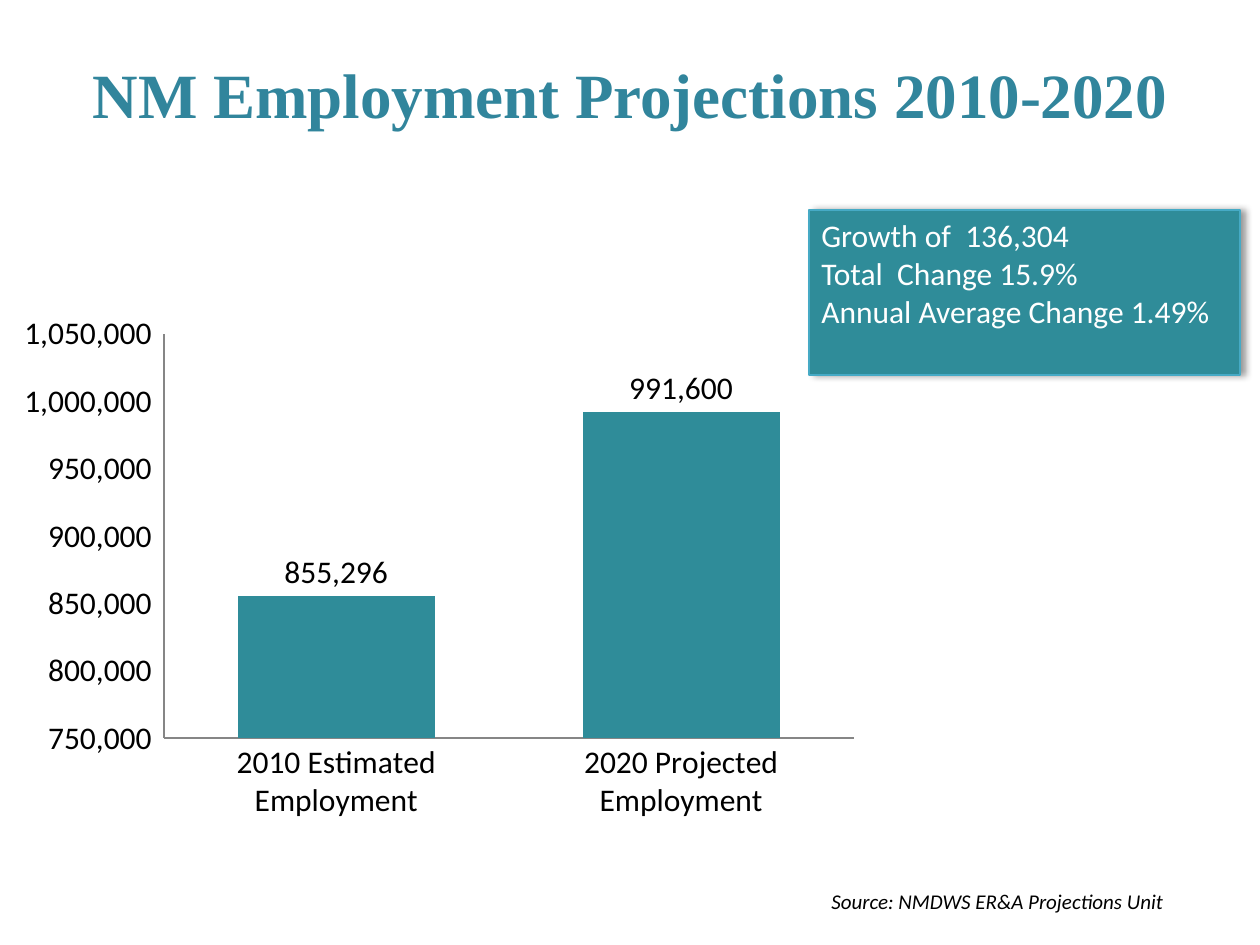
from lxml import etree
from pptx import Presentation
from pptx import util as u
from pptx.chart import data as chart_data
from pptx.dml.color import RGBColor
from pptx.enum import chart as ch, shapes, text
from pptx.oxml import parse_xml
from pptx.oxml.ns import nsdecls, qn

PX = 914400 / 126
TEAL = RGBColor(0x2F, 0x8C, 0x99)
TITLE_TEAL = RGBColor(0x31, 0x85, 0x9C)
EDGE = RGBColor(0x46, 0xAA, 0xC5)
AXIS_GREY = RGBColor(0x86, 0x86, 0x86)
WHITE = RGBColor(0xFF, 0xFF, 0xFF)
BLACK = RGBColor(0, 0, 0)
COUNT_FORMAT = '_(* #,##0_);_(* \\(#,##0\\);_(* "-"??_);_(@_)'


def px(*lengths):
    return [u.Emu(round(length * PX)) for length in lengths]


def apply(target, **values):
    for name, value in values.items():
        setattr(target, name, value)


def style_font(font, color, **values):
    apply(font, **values)
    font.color.rgb = color


def add_title(slide, box):
    title = slide.shapes.title
    apply(title, **dict(zip(("left", "top", "width", "height"), px(*box))))
    frame = title.text_frame
    frame.text = "NM Employment Projections 2010-2020"
    apply(frame, vertical_anchor=text.MSO_ANCHOR.MIDDLE, word_wrap=True,
          auto_size=text.MSO_AUTO_SIZE.NONE)
    heading = frame.paragraphs[0]
    heading.alignment = text.PP_ALIGN.CENTER
    style_font(heading.runs[0].font, TITLE_TEAL,
               name="Times New Roman", size=u.Pt(36), bold=True)


def place_plot(chart, box, plot_box):
    left, top, width, height = box
    plot_left, plot_top, plot_width, plot_height = plot_box
    shares = {"x": plot_left / width, "y": plot_top / height,
              "w": plot_width / width, "h": plot_height / height}
    entries = [("layoutTarget", "inner"), ("xMode", "edge"), ("yMode", "edge")]
    entries += [(key, f"{share:.2f}" if key == "h" else f"{share:.3f}")
                for key, share in shares.items()]
    plot_area = chart.plots[0]._element.getparent()
    for old in plot_area.findall(qn("c:layout")):
        plot_area.remove(old)
    layout = parse_xml(f'<c:layout {nsdecls("c")}/>')
    manual = etree.SubElement(layout, qn("c:manualLayout"))
    for key, value in entries:
        etree.SubElement(manual, qn(f"c:{key}")).set("val", value)
    plot_area.insert(0, layout)


def add_employment_chart(slide, box):
    employment = chart_data.CategoryChartData(number_format=COUNT_FORMAT)
    employment.categories = ["2010 Estimated Employment",
                             "2020 Projected Employment"]
    employment.add_series("Series 1", (855296, 991600))
    chart = slide.shapes.add_chart(
        ch.XL_CHART_TYPE.COLUMN_CLUSTERED, *px(*box), employment).chart
    apply(chart, has_legend=False, has_title=False)
    style_font(chart.font, BLACK, name="Calibri", size=u.Pt(18))

    counts = chart.value_axis
    apply(counts, minimum_scale=750000, maximum_scale=1050000,
          major_unit=50000, has_major_gridlines=False)
    apply(counts.tick_labels, number_format=COUNT_FORMAT,
          number_format_is_linked=False)
    for axis in (counts, chart.category_axis):
        apply(axis, major_tick_mark=ch.XL_TICK_MARK.NONE,
              minor_tick_mark=ch.XL_TICK_MARK.NONE)
        axis.format.line.color.rgb = AXIS_GREY
        axis.format.line.width = u.Pt(0.75)

    columns = chart.plots[0]
    apply(columns, gap_width=75, vary_by_categories=False,
          has_data_labels=True)
    apply(columns.data_labels, show_value=True, number_format=COUNT_FORMAT,
          number_format_is_linked=False,
          position=ch.XL_LABEL_POSITION.OUTSIDE_END)
    fill = columns.series[0].format.fill
    fill.solid()
    fill.fore_color.rgb = TEAL
    place_plot(chart, box, (164, 29, 690, 404))


def add_shadow(shape):
    shape.shadow.inherit = False
    effects = shape._element.spPr.find(qn("a:effectLst"))
    effects.append(parse_xml(
        f'<a:outerShdw {nsdecls("a")} blurRad="{u.Pt(4)}" dist="{u.Pt(3)}"'
        ' dir="0" algn="l" rotWithShape="0"><a:srgbClr val="000000">'
        '<a:alpha val="40000"/></a:srgbClr></a:outerShdw>'))


def add_growth_box(slide, box):
    growth = slide.shapes.add_shape(shapes.MSO_SHAPE.RECTANGLE, *px(*box))
    growth.fill.solid()
    growth.fill.fore_color.rgb = TEAL
    growth.line.color.rgb = EDGE
    growth.line.width = u.Pt(0.75)
    add_shadow(growth)
    frame = growth.text_frame
    apply(frame, word_wrap=True, vertical_anchor=text.MSO_ANCHOR.TOP)
    frame.text = ("Growth of  136,304\nTotal  Change 15.9%\n"
                  "Annual Average Change 1.49%")
    for fact in frame.paragraphs:
        fact.alignment = text.PP_ALIGN.LEFT
        style_font(fact.runs[0].font, WHITE, name="Calibri", size=u.Pt(18))


def add_source(slide, box):
    frame = slide.shapes.add_textbox(*px(*box)).text_frame
    frame.text = "Source: NMDWS ER&A Projections Unit"
    apply(frame, word_wrap=False,
          auto_size=text.MSO_AUTO_SIZE.SHAPE_TO_FIT_TEXT)
    style_font(frame.paragraphs[0].runs[0].font, BLACK,
               name="Calibri", size=u.Pt(12), italic=True)


def main():
    deck = Presentation()
    apply(deck, **dict(zip(("slide_width", "slide_height"), px(1260, 945))))
    slide = deck.slides.add_slide(deck.slide_layouts[5])
    add_title(slide, (63, 38, 1134, 110))
    add_employment_chart(slide, (0, 305, 872, 525))
    add_growth_box(slide, (809, 210, 431, 165))
    add_source(slide, (819, 882, 364, 38))
    deck.save("out.pptx")


if __name__ == "__main__":
    main()
